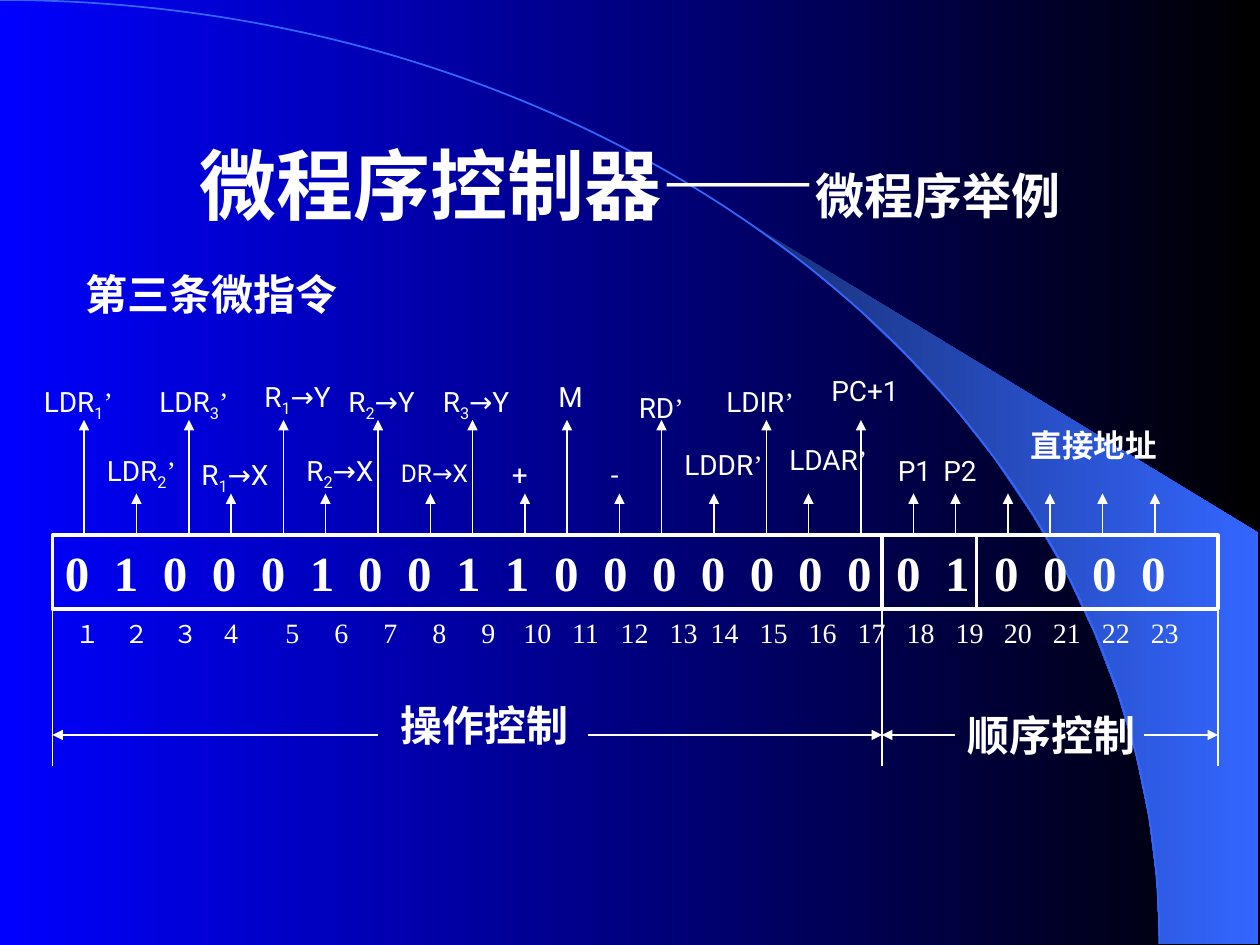
from dataclasses import dataclass
from math import asin, cos, pi, sin

from lxml import etree
from pptx import Presentation
from pptx.dml.color import RGBColor
from pptx.enum.lang import MSO_LANGUAGE_ID
from pptx.enum.shapes import MSO_CONNECTOR, MSO_SHAPE
from pptx.enum.text import MSO_ANCHOR, PP_ALIGN
from pptx.oxml.ns import qn
from pptx.util import Pt

PX = 6350
LEFT, CENTER = PP_ALIGN.LEFT, PP_ALIGN.CENTER
TOP, MIDDLE = MSO_ANCHOR.TOP, MSO_ANCHOR.MIDDLE
STRAIGHT, RECTANGLE = MSO_CONNECTOR.STRAIGHT, MSO_SHAPE.RECTANGLE
CHINESE = MSO_LANGUAGE_ID.SIMPLIFIED_CHINESE


@dataclass(frozen=True)
class Theme:
    ink: str = "FFFFFF"
    sky: tuple = ("0000FF", "000000")
    beam: tuple = ("182F76", "3366FF")
    arc: str = "3366FF"
    title_font: str = "Arial"
    label_font: str = "Roboto"
    digit_font: str = "Times New Roman"
    title: int = 44
    subtitle: int = 28
    heading: int = 24
    caption: int = 18
    label: int = 16
    small: int = 14
    hairline: float = 0.75
    rim: float = 1
    frame: float = 2.25


def write(paragraph, text, size, font, color, bold=False, baseline=0):
    run = paragraph.add_run()
    run.text = text
    run.font.size = Pt(size)
    run.font.name = font
    run.font.bold = bold
    run.font.color.rgb = RGBColor.from_string(color)
    run.font.language_id = CHINESE
    if baseline:
        run.font._element.set("baseline", str(baseline))


def shade(fill, colors):
    fill.gradient()
    fill.gradient_angle = 0
    for stop, color, position in zip(fill.gradient_stops, colors, (0, 1)):
        stop.color.rgb = RGBColor.from_string(color)
        stop.position = position


class Canvas:
    def __init__(self, slide, theme):
        self.slide, self.theme = slide, theme

    def background(self):
        shade(self.slide.background.fill, self.theme.sky)

    def stroke(self, line, width, color=None):
        line.color.rgb = RGBColor.from_string(color or self.theme.ink)
        line.width = Pt(width)

    def fill_text(self, shape, runs, align=LEFT, anchor=TOP, tabs=(), tab_align="l"):
        frame = shape.text_frame
        frame.word_wrap = True
        frame.vertical_anchor = anchor
        paragraph = frame.paragraphs[0]
        paragraph.alignment = align
        if tabs:
            stops = etree.SubElement(paragraph._p.get_or_add_pPr(), qn("a:tabLst"))
            for stop in tabs:
                etree.SubElement(stops, qn("a:tab"), pos=str(stop * PX), algn=tab_align)
        for text, style in runs:
            write(paragraph, text, **{"color": self.theme.ink, **style})

    def text(self, box, *runs, **layout):
        shape = self.slide.shapes.add_textbox(*(v * PX for v in box))
        self.fill_text(shape, runs, **layout)

    def rectangle(self, box, *runs, **layout):
        shape = self.slide.shapes.add_shape(RECTANGLE, *(v * PX for v in box))
        shape.shadow.inherit = False
        shape.fill.background()
        self.stroke(shape.line, self.theme.frame)
        self.fill_text(shape, runs, **layout)

    def line(self, start, end, width, arrow=False):
        link = self.slide.shapes.add_connector(STRAIGHT, *(v * PX for v in start + end))
        self.stroke(link.line, width)
        if arrow:
            etree.SubElement(link.line._get_or_add_ln(), qn("a:tailEnd"), type="triangle")
        etree.SubElement(link._element.spPr, qn("a:effectLst"))

    def polygon(self, points, gradient):
        builder = self.slide.shapes.build_freeform(*points[0], scale=PX)
        builder.add_line_segments(points[1:], close=True)
        shape = builder.convert_to_shape()
        shape.shadow.inherit = False
        shade(shape.fill, gradient)
        shape.line.fill.background()

    def curve(self, start, controls, end, color):
        builder = self.slide.shapes.build_freeform(*start, scale=PX)
        builder.add_line_segments([end], close=False)
        shape = builder.convert_to_shape()
        segment = next(shape._element.iter(qn("a:lnTo")))
        bezier = etree.Element(qn("a:cubicBezTo"))
        for x, y in (*controls, end):
            etree.SubElement(bezier, qn("a:pt"), x=str(x), y=str(y))
        segment.getparent().replace(segment, bezier)
        shape.shadow.inherit = False
        shape.fill.background()
        self.stroke(shape.line, self.theme.rim, color)


def horizon(start, steps=13):
    angles = [start + (pi / 2 - start) * i / steps for i in range(steps + 1)]
    return [(round(1325 * sin(a)), round(1079 * (1 - cos(a)))) for a in angles]


LABELS = [
    (36, 432, "LDR", "1", "’"), (108, 511, "LDR", "2", "’"),
    (168, 432, "LDR", "3", "’"), (288, 427, "R", "1", "→Y"),
    (336, 511, "R", "2", "→X"), (384, 432, "R", "2", "→Y"),
    (216, 516, "R", "1", "→X"), (492, 432, "R", "3", "→Y"),
    (571, 516, "+", "", ""), (624, 427, "M", "", ""),
    (684, 516, "-", "", ""), (716, 439, "RD", "", "’"),
    (768, 504, "LDDR", "", "’"), (816, 432, "LDIR", "", "’"),
    (888, 499, "LDAR", "", "’"), (936, 420, "PC+1", "", ""),
    (1012, 511, "P1", "", ""), (1064, 511, "P2", "", ""),
]
LONG_ARROWS = (96, 216, 324, 432, 540, 648, 756, 876, 984)
SHORT_ARROWS = (156, 264, 372, 492, 600, 708, 816, 924, 1044, 1092, 1152, 1200, 1260, 1320)
SPANS = ((432, 60), (672, 1008), (1092, 1008), (1308, 1392))
WORD_TOP, WORD_BOTTOM, EXTENT_BOTTOM, SPAN_Y = 612, 696, 876, 840
BITS = "01000100110000000010000"
BIT_PITCH = 55.9


def stops(first, count):
    return [round(first + BIT_PITCH * i) for i in range(count)]


def main():
    deck = Presentation()
    deck.slide_width, deck.slide_height = 1440 * PX, 1080 * PX
    theme = Theme()
    canvas = Canvas(deck.slides.add_slide(deck.slide_layouts[6]), theme)
    canvas.background()
    canvas.polygon(horizon(asin(0.64)) + [(1438, 1079), (1438, 609)], theme.beam)
    canvas.curve((0, 0), ((732, 0), (1325, 482)), (1325, 1079), theme.arc)

    title = {"font": theme.title_font, "bold": True}
    heading = {"size": theme.heading, "font": theme.label_font, "bold": True}
    label = {"size": theme.label, "font": theme.label_font}
    digit = {"size": theme.label, "font": theme.digit_font}

    canvas.text(
        (108, 144, 1224, 132),
        ("微程序控制器——", {**title, "size": theme.title}),
        ("微程序举例", {**title, "size": theme.subtitle}),
        align=CENTER, anchor=MIDDLE,
    )
    for box, words, size in (
        ((84, 300, 660, 72), "第三条微指令", theme.heading),
        ((444, 792, 324, 72), "操作控制", theme.heading),
        ((1092, 804, 240, 72), "顺序控制", theme.heading),
        ((1164, 480, 192, 58), "直接地址", theme.caption),
    ):
        canvas.text(box, (words, {**heading, "size": size}))

    canvas.rectangle(
        (60, WORD_TOP, 1332, WORD_BOTTOM - WORD_TOP),
        ("\t".join(BITS), {**digit, "size": theme.subtitle, "bold": True}),
        anchor=MIDDLE, tabs=stops(BIT_PITCH, len(BITS) - 1),
    )
    canvas.text(
        (72, WORD_BOTTOM, 1320, 53),
        ("\t".join("１２３"), {**digit, "size": theme.small}),
        ("".join(f"\t{n}" for n in range(4, len(BITS) + 1)), digit),
        tabs=[70, 126, 178] + stops(248, 9) + stops(742, 10), tab_align="ctr",
    )

    for tip, positions in ((480, LONG_ARROWS), (564, SHORT_ARROWS)):
        for x in positions:
            canvas.line((x, WORD_TOP), (x, tip), theme.hairline, arrow=True)
    for left, top, stem, index, tail in LABELS:
        tail_style = digit if tail == "’" else label
        parts = ((stem, label), (index, {**label, "baseline": -25000}), (tail, tail_style))
        height = 59 if index else 53
        canvas.text((left, top, 132, height), *(part for part in parts if part[0]))
    canvas.text((444, 516, 132, 49), ("DR→X", {**label, "size": theme.small}))

    for x in (1008, 1116):
        canvas.line((x, WORD_TOP), (x, WORD_BOTTOM), theme.frame)
    for x in (60, 1008, 1392):
        canvas.line((x, WORD_BOTTOM), (x, EXTENT_BOTTOM), theme.hairline)
    for start, end in SPANS:
        canvas.line((start, SPAN_Y), (end, SPAN_Y), theme.hairline, arrow=True)

    deck.save("out.pptx")


if __name__ == "__main__":
    main()
